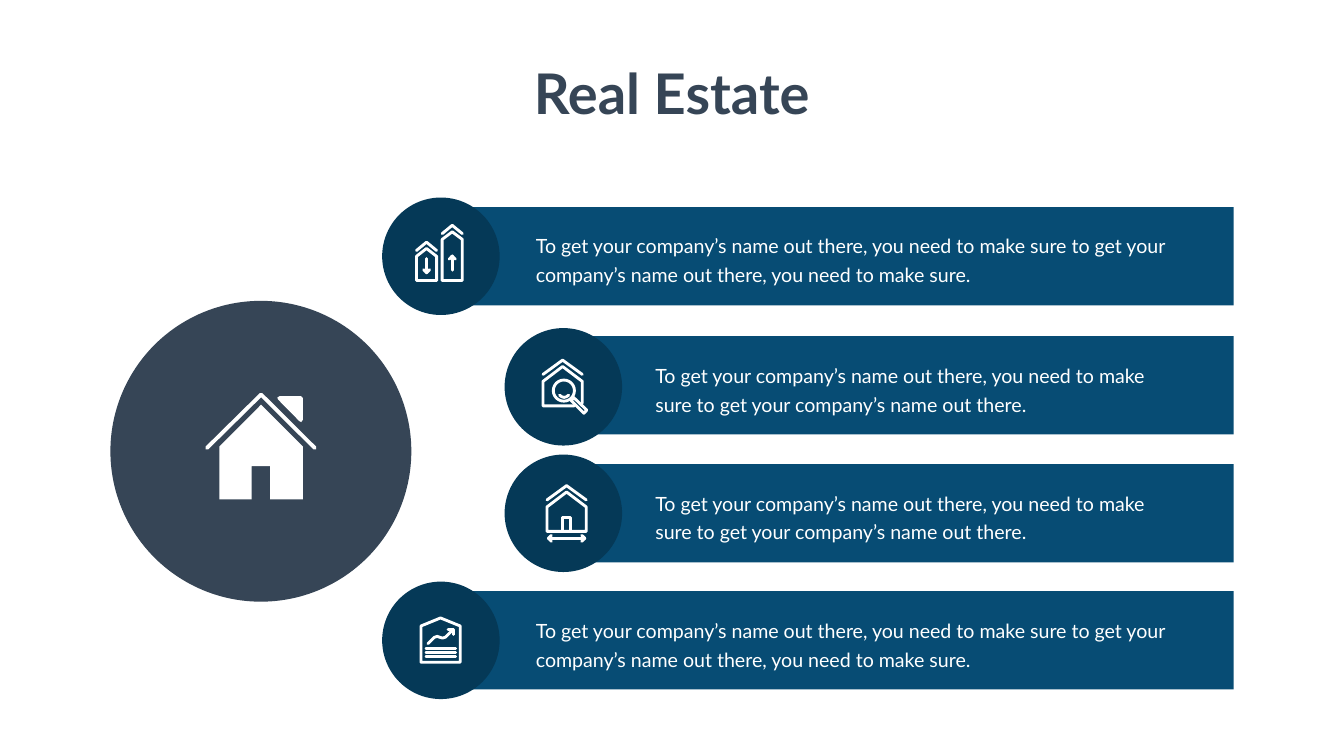
import pptx
import pptx.util
import pptx.dml.color
import pptx.enum.shapes
import pptx.enum.text
import lxml.etree

Pt = pptx.util.Pt
kinds = pptx.enum.shapes.MSO_SHAPE
white, bar_hue, disc_hue, slate = "FFFFFF", "074C74", "053957", "364556"


def paint(shape, fill=None, line=None, wide=4.1):
    """Fill and outline a shape with hex colours; None means neither."""
    shape.shadow.inherit = False
    if fill:
        shape.fill.solid()
        shape.fill.fore_color.rgb = pptx.dml.color.RGBColor.from_string(fill)
    else:
        shape.fill.background()
    if line:
        shape.line.color.rgb = pptx.dml.color.RGBColor.from_string(line)
        shape.line.width = Pt(wide)
        edge = shape.line._get_or_add_ln()
        edge.set("cap", "rnd")
        lxml.etree.SubElement(edge, pptx.oxml.ns.qn("a:round"))
    else:
        shape.line.fill.background()


def trace(group, left, top, points, close=False):
    """Return a freeform through points measured from left and top."""
    spots = [(Pt(left + x), Pt(top + y)) for x, y in points]
    path = group.shapes.build_freeform(*spots[0])
    path.add_line_segments(spots[1:], close=close)
    return path.convert_to_shape()


deck = pptx.Presentation()
deck.slide_width, deck.slide_height = Pt(1919.52), Pt(1080)
slide = deck.slides.add_slide(deck.slide_layouts[6])
shapes = slide.shapes

# Icon strokes: (points, closed), measured from the icon's corner
roof = ([(2.2, 23), (30.2, 2.6), (58.3, 23)], False)
towers = [
    ([(2.2, 38.9), (16.6, 27), (31, 38.9)], False),
    ([(2.2, 81.7), (2.2, 47.2), (16.6, 36), (31, 47.2), (31, 81.7)], True),
    ([(38.9, 14.8), (53.3, 2.9), (67.7, 14.8)], False),
    ([(38.9, 81.7), (38.9, 23), (53.3, 12.2), (67.7, 23), (67.7, 81.7)], True),
    ([(16.6, 50.4), (16.6, 70.6)], False),
    ([(12.3, 66.3), (16.6, 70.6), (20.9, 66.3)], False),
    ([(53.3, 67), (53.3, 46.8)], False),
    ([(49, 51.1), (53.3, 46.8), (57.6, 51.1)], False),
]
search = [
    roof,
    ([(46.8, 68), (2.2, 68), (2.2, 33), (30.2, 11.7), (58.3, 33), (58.3, 64)], False),
    ([(25.9, 52.6), (29, 54.9), (32.4, 55.8), (35.6, 54.9), (38.9, 52.6)], False),
    ([(46, 56), (64.8, 74), (60.5, 78.5), (42.5, 60.5)], True),
]
measure = [
    roof,
    ([(2.2, 68), (2.2, 33), (30.2, 11.7), (58.3, 33), (58.3, 68)], True),
    ([(24.8, 67), (24.8, 48.2), (35.6, 48.2), (35.6, 67)], False),
    ([(4.3, 77.8), (56.2, 77.8)], False),
    ([(8.6, 73.5), (4.3, 77.8), (8.6, 82.1)], False),
    ([(51.9, 73.5), (56.2, 77.8), (51.9, 82.1)], False),
]
growth = [
    ([(2.2, 65.5), (2.2, 13.7), (30.2, 2.2), (58.3, 13.7), (58.3, 65.5)], True),
    ([(12.2, 38.9), (20.9, 30.2), (25.2, 28.5), (29.5, 29.9), (33.1, 31),
      (37.4, 29.5), (48.2, 18.7)], False),
    ([(41, 18.7), (48.2, 18.7), (48.2, 25.9)], False),
] + [([(9.4, y), (51.8, y)], False) for y in (45.4, 51.5, 57.6)]

long = ("To get your company’s name out there, you need to make sure to get your "
        "company’s name out there, you need to make sure.")
short = ("To get your company’s name out there, you need to make sure to get your "
         "company’s name out there.")

# Left edges of bar, disc and text, then the text width
outer = (629.3, 545.8, 758.2, 961.9)
inner = (774.7, 720.7, 928.8, 745.2)

# Edges, tops of bar, disc and text, icon corner, icon, words
rows = [
    (outer, (295.9, 282.2, 324), (592.6, 319), towers, long),
    (inner, (480.2, 468.7, 509.8), (773.3, 511.9), search, short),
    (inner, (663.1, 649.4, 691.9), (779, 691.2), measure, short),
    (outer, (844.6, 830.9, 873.4), (599, 880.6), growth, long),
]

for edges, tops, corner, icon, words in rows:
    left, disc_left, text_left, text_wide = edges
    bar_top, disc_top, text_top = tops
    bar = shapes.add_shape(kinds.RECTANGLE, Pt(left), Pt(bar_top),
                           Pt(1761.8 - left), Pt(140.4))
    paint(bar, bar_hue)
    disc = shapes.add_shape(kinds.OVAL, Pt(disc_left), Pt(disc_top), Pt(167.8), Pt(167.8))
    paint(disc, disc_hue)

    group = shapes.add_group_shape()
    for points, close in icon:
        paint(trace(group, *corner, points, close), line=white)
    if icon is search:
        lens = group.shapes.add_shape(kinds.OVAL, Pt(corner[0] + 16.9),
                                      Pt(corner[1] + 31), Pt(30.2), Pt(30.2))
        paint(lens, line=white)

    box = shapes.add_textbox(Pt(text_left), Pt(text_top), Pt(text_wide), Pt(85.7))
    box.text_frame.word_wrap = True
    box.text_frame.text = words
    para = box.text_frame.paragraphs[0]
    para.line_spacing = Pt(40.8)
    font = para.runs[0].font
    font.name, font.size = "Lato", Pt(28)
    font.color.rgb = pptx.dml.color.RGBColor.from_string(white)

# Large disc with the solid house
disc = shapes.add_shape(kinds.OVAL, Pt(157.7), Pt(429.8), Pt(429.8), Pt(429.8))
paint(disc, slate)
house = shapes.add_group_shape()
chimney = [(135, 42), (138, 43.5), (140.4, 40), (140.4, 9.5),
           (137.5, 6.5), (107, 6.5), (103.7, 8.6), (105, 11.5)]
walls = [(21, 78.5), (21, 154), (67, 154), (67, 106.6), (93.6, 106.6),
         (93.6, 154), (140.4, 154), (140.4, 78.5), (80.6, 18.7)]
for points in (chimney, walls):
    paint(trace(house, 292.3, 559.4, points, True), white)
eaves = trace(house, 292.3, 559.4, [(3.2, 80.6), (80.6, 4.3), (157.3, 80.6)])
paint(eaves, line=white, wide=5.5)

title = shapes.add_textbox(Pt(749.5), Pt(80.6), Pt(419.8), Pt(104.4))
title.text_frame.word_wrap = False
title.text_frame.text = "Real Estate"
para = title.text_frame.paragraphs[0]
para.alignment = pptx.enum.text.PP_ALIGN.CENTER
font = para.runs[0].font
font.name, font.size, font.bold = "Lato", Pt(80), True
font.color.rgb = pptx.dml.color.RGBColor.from_string(slate)

deck.save("out.pptx")
